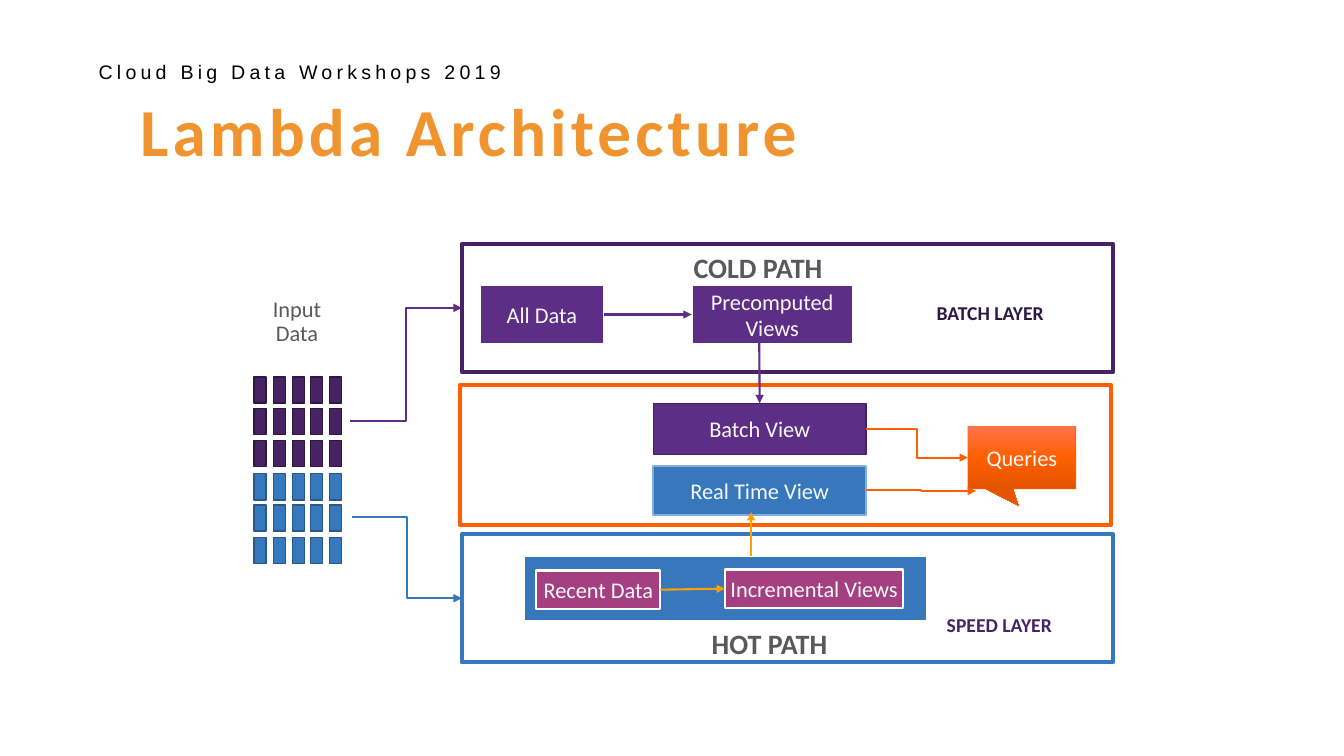
from copy import deepcopy
from dataclasses import dataclass

from lxml.etree import SubElement
from pptx import Presentation
from pptx.dml.color import RGBColor as RGB
from pptx.enum.shapes import MSO_CONNECTOR as LINK, MSO_SHAPE as SHAPE
from pptx.enum.text import MSO_ANCHOR as ANCHOR, MSO_AUTO_SIZE as AUTOSIZE, PP_ALIGN as ALIGN
from pptx.oxml.ns import qn
from pptx.util import Pt

PX = 9144
TOP, LEFT, BOTTOM, RIGHT = range(4)


@dataclass(frozen=True)
class Theme:
    """Colours, fonts and type sizes of the slide."""
    body: str = "Calibri"
    header: str = "Arial"
    black: str = "000000"
    white: str = "FFFFFF"
    pale: str = "F8F8F8"
    grey: str = "595959"
    title: str = "EF942F"
    purple: str = "5E2E86"
    purple_edge: str = "462263"
    dark: str = "472364"
    darkest: str = "2F1743"
    blue: str = "3777BC"
    blue_edge: str = "29588B"
    blue_light: str = "83ADDB"
    orange: str = "FF5F00"
    amber: str = "FFA000"
    plum: str = "A44082"
    glow: tuple = ((0, "FF744B"), (0.5, "FF5F00"), (1, "E35400"))
    title_size: int = 48
    path_size: int = 20
    node_size: int = 16
    small_size: int = 14


THEME = Theme()


def px(*lengths):
    """Turn pixel lengths into EMU."""
    return [length * PX for length in lengths]


def write_text(shape, text, *, size, color, font=THEME.body, bold=False, align=ALIGN.LEFT,
               anchor=ANCHOR.TOP, margins=(10, 5), wrap=True, autosize=AUTOSIZE.NONE,
               leading=None, after=None, tracking=None):
    """Put formatted text in a shape."""
    frame = shape.text_frame
    frame.text = text
    frame.word_wrap = wrap
    frame.auto_size = autosize
    frame.vertical_anchor = anchor
    frame.margin_left = frame.margin_right = margins[0] * PX
    frame.margin_top = frame.margin_bottom = margins[1] * PX
    for paragraph in frame.paragraphs:
        paragraph.alignment = align
        paragraph.space_before = Pt(0)
        if leading:
            paragraph.line_spacing = leading
        if after:
            paragraph.space_after = Pt(after)
        for run in paragraph.runs:
            run.font.name, run.font.size, run.font.bold = font, Pt(size), bold
            run.font.color.rgb = RGB.from_string(color)
    if tracking:
        for properties in shape.element.iter(qn("a:rPr")):
            properties.set("spc", str(tracking * 100))


def add_label(slide, text, box, **style):
    """Add a text box that grows with its text."""
    label = slide.shapes.add_textbox(*px(*box))
    write_text(label, text, autosize=AUTOSIZE.SHAPE_TO_FIT_TEXT, **style)


def add_box(slide, box, edge, weight, fill=None, preset=SHAPE.RECTANGLE):
    """Add an outlined shape, hollow when it has no fill."""
    shape = slide.shapes.add_shape(preset, *px(*box))
    shape.shadow.inherit = False
    shape.line.color.rgb = RGB.from_string(edge)
    shape.line.width = Pt(weight)
    if fill:
        shape.fill.solid()
        shape.fill.fore_color.rgb = RGB.from_string(fill)
    else:
        shape.fill.background()
    return shape


def add_node(slide, text, box, edge, weight, fill, preset=SHAPE.RECTANGLE):
    """Add a filled shape with centred text."""
    node = add_box(slide, box, edge, weight, fill, preset)
    write_text(node, text, size=THEME.node_size, color=THEME.pale, align=ALIGN.CENTER,
               anchor=ANCHOR.MIDDLE, margins=(0, 5))
    return node


def add_queries(slide):
    """Add the callout with its vertical gradient."""
    queries = add_node(slide, "Queries", (960, 423, 107, 62), THEME.orange, 0.5,
                       THEME.orange, SHAPE.RECTANGULAR_CALLOUT)
    queries.adjustments[0], queries.adjustments[1] = -0.03, 0.77
    queries.fill.gradient()
    queries.fill.gradient_angle = 270
    stops = next(queries.element.iter(qn("a:gsLst")))
    stops.insert(1, deepcopy(stops[0]))
    for stop, (position, color) in zip(queries.fill.gradient_stops, THEME.glow):
        stop.position = position
        stop.color.rgb = RGB.from_string(color)
    return queries


def add_arrow(slide, start, end, color, source=None, target=None, kind=LINK.STRAIGHT):
    """Add an arrow, joined to (shape, side) pairs where given."""
    arrow = slide.shapes.add_connector(kind, *px(*start, *end))
    arrow.line.color.rgb = RGB.from_string(color)
    arrow.line.width = Pt(1.5)
    properties = arrow.element.spPr
    SubElement(properties.find(qn("a:ln")), qn("a:tailEnd"), type="triangle")
    SubElement(properties, qn("a:effectLst"))
    if source:
        arrow.begin_connect(*source)
    if target:
        arrow.end_connect(*target)


def add_data_grid(slide, top, fill, edge):
    """Add three rows of five data blocks."""
    for row_offset in (0, 31, 63):
        for column in range(5):
            left = 252 + round(column * 18.75)
            add_box(slide, (left, top + row_offset, 12, 26), edge, 1, fill)


def add_header(slide):
    """Fill the title and the line above it."""
    add_label(slide, "Cloud Big Data Workshops 2019", (88, 55, 803, 34), size=THEME.small_size,
              color=THEME.black, font=THEME.header, tracking=3)
    title = slide.shapes.title
    title.left, title.top, title.width, title.height = px(129, 93, 1174, 105)
    write_text(title, "Lambda Architecture", size=THEME.title_size, color=THEME.title,
               bold=True, leading=0.9, tracking=3)


def add_labels(slide):
    """Name the input, the paths and the layers."""
    add_label(slide, "Input\nData", (255, 291, 79, 59), size=THEME.node_size,
              color=THEME.grey, align=ALIGN.CENTER, leading=0.9)
    for text, box in (("COLD PATH", (678, 247, 149, 40)), ("HOT PATH", (696, 620, 140, 40))):
        add_label(slide, text, box, size=THEME.path_size, color=THEME.grey, bold=True,
                  wrap=False, leading=0.9)
    for text, box, color in (("BATCH LAYER", (909, 291, 147, 54), THEME.darkest),
                             ("SPEED LAYER", (919, 600, 150, 57), THEME.dark)):
        add_label(slide, text, box, size=THEME.small_size, color=color, bold=True,
                  margins=(20, 16), wrap=False, leading=0.9, after=6)


def add_flow(slide):
    """Draw the three layers, their nodes and the arrows between them."""
    t = THEME
    cold = add_box(slide, (458, 242, 646, 127), t.dark, 3)
    add_box(slide, (456, 382, 646, 139), t.orange, 3)
    hot = add_box(slide, (458, 530, 646, 127), t.blue, 3)
    add_box(slide, (520, 552, 399, 64), t.white, 1.5, t.blue)

    all_data = add_node(slide, "All Data", (476, 283, 123, 58), t.white, 1.5, t.purple)
    precomputed = add_node(slide, "Precomputed Views", (686, 283, 160, 58), t.white, 1.5, t.purple)
    batch = add_node(slide, "Batch View", (648, 400, 211, 51), t.purple_edge, 1, t.purple)
    real_time = add_node(slide, "Real Time View", (648, 462, 211, 49), t.blue_light, 1.5, t.blue)
    recent = add_node(slide, "Recent Data", (532, 566, 123, 38), t.white, 1.5, t.plum)
    incremental = add_node(slide, "Incremental Views", (719, 565, 177, 38), t.white, 1.5, t.plum)
    queries = add_queries(slide)

    add_arrow(slide, (599, 312), (686, 312), t.purple, (all_data, RIGHT), (precomputed, LEFT))
    add_arrow(slide, (753, 338), (753, 400), t.purple, target=(batch, TOP))
    add_arrow(slide, (655, 585), (719, 584), t.amber, (recent, RIGHT), (incremental, LEFT))
    add_arrow(slide, (745, 552), (745, 508), t.amber)
    add_arrow(slide, (347, 418), (458, 306), t.purple, target=(cold, LEFT), kind=LINK.ELBOW)
    add_arrow(slide, (349, 513), (458, 594), t.blue, target=(hot, LEFT), kind=LINK.ELBOW)
    add_arrow(slide, (859, 426), (960, 454), t.orange, (batch, RIGHT), (queries, LEFT), LINK.ELBOW)
    add_arrow(slide, (859, 486), (968, 487), t.orange, (real_time, RIGHT), kind=LINK.ELBOW)


def main():
    """Build the slide and save it."""
    deck = Presentation()
    deck.slide_width, deck.slide_height = px(1333, 750)
    slide = deck.slides.add_slide(deck.slide_layouts[5])
    add_header(slide)
    add_data_grid(slide, 374, THEME.dark, THEME.darkest)
    add_data_grid(slide, 470, THEME.blue, THEME.blue_edge)
    add_flow(slide)
    add_labels(slide)
    deck.save("out.pptx")


if __name__ == "__main__":
    main()
